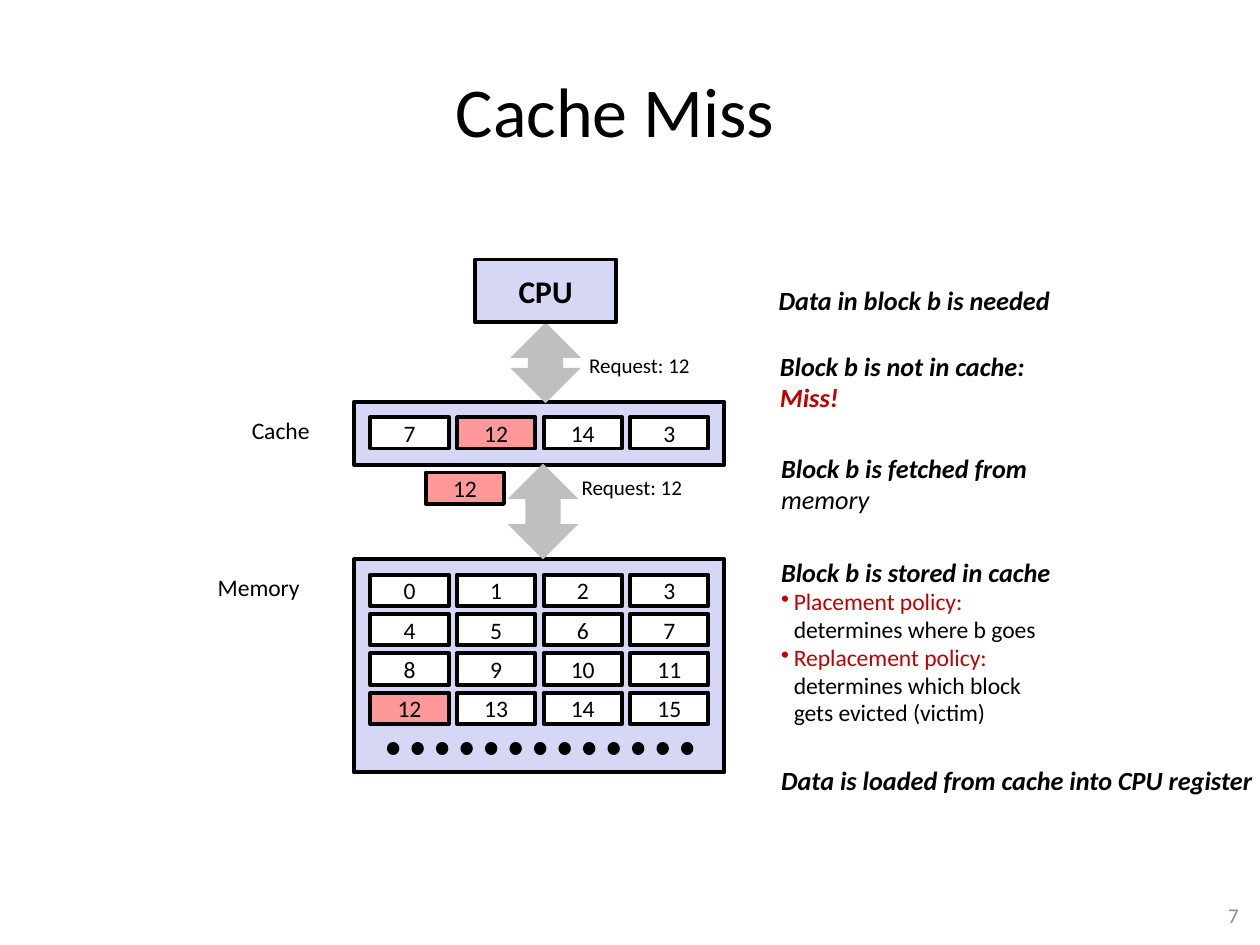
"""Build the Cache Miss slide: CPU, cache and memory blocks beside the steps of a miss."""
from lxml import etree
from pptx import Presentation
from pptx.dml.color import RGBColor
from pptx.enum import dml, shapes, text
from pptx.oxml import ns
from pptx.util import Inches, Pt

BLACK = RGBColor(0x00, 0x00, 0x00)
WHITE = RGBColor(0xFF, 0xFF, 0xFF)
LAVENDER = RGBColor(0xD6, 0xD6, 0xF5)
PINK = RGBColor(0xFF, 0x99, 0x99)
SILVER = RGBColor(0xBF, 0xBF, 0xBF)
GREY = RGBColor(0x8C, 0x8C, 0x8C)
RED = RGBColor(0xC0, 0x00, 0x00)

FONT = "Calibri"
TITLE = "Cache Miss"
REQUESTED = 12
COLUMNS = 4
CACHE_BLOCKS = [7, 12, 14, 3]
MEMORY_BLOCKS = list(range(16))
BLOCK_SIZE = (0.62, 0.25)
BLOCK_LEFT, COLUMN_STEP, ROW_STEP = 2.94, 0.6875, 0.3125
CACHE_TOP, MEMORY_TOP = 3.31, 4.56
TIGHT = (0.07, 0.04)
LOOSE = (0.1, 0.05)

PANELS = [(2.81, 4.44, 2.94, 1.69), (2.81, 3.19, 2.94, 0.5)]
ARROWS = [(4.03, 3.68, 0.56, 0.76), (4.05, 2.56, 0.56, 0.64)]
CPU_AREA = (3.77, 2.06, 1.12, 0.5)
LABELS = [
    ("Cache", (1.9, 3.25, 0.67, 0.33), 13.5, text.PP_ALIGN.LEFT),
    ("Memory", (1.63, 4.5, 0.86, 0.33), 13.5, text.PP_ALIGN.LEFT),
    ("Request: 12", (4.57, 2.75, 1.01, 0.3), 12, text.PP_ALIGN.CENTER),
    ("Request: 12", (4.51, 3.72, 1.01, 0.3), 12, text.PP_ALIGN.CENTER),
]

STEP = dict(size=15, bold=True, italic=True)
MISS = dict(STEP, color=RED)
PLAIN = dict(size=15, italic=True)
POLICY = dict(size=13.5, color=RED)
DETAIL = dict(size=13.5)
NOTES = [
    ((6.11, 2.23, 2.32, 0.32), [[("Data in block b is needed", STEP)]]),
    ((6.12, 2.75, 2.1, 0.57), [[("Block b is not in cache:", STEP)], [("Miss!", MISS)]]),
    ((6.13, 3.56, 2.12, 0.57), [[("Block b is fetched from", STEP)], [("memory", PLAIN)]]),
    ((6.13, 4.38, 2.3, 1.44), [
        [("Block b is stored in cache", STEP)],
        [("Placement policy:", POLICY), ("determines where b goes", DETAIL)],
        [("Replacement policy:", POLICY), ("determines which block", DETAIL),
         ("gets evicted (victim)", DETAIL)],
    ]),
    ((6.13, 6.04, 3.96, 0.32), [[("Data is loaded from cache into CPU register", STEP)]]),
]


def add_span(para, words, size, color=BLACK, bold=False, italic=False):
    span = para.add_run()
    span.text = words
    font = span.font
    font.name, font.size, font.bold, font.italic = FONT, Pt(size), bold, italic
    font.color.rgb = color


def set_frame(frame, margins, anchor, wrap):
    frame.margin_left = frame.margin_right = Inches(margins[0])
    frame.margin_top = frame.margin_bottom = Inches(margins[1])
    frame.vertical_anchor = anchor
    frame.word_wrap = wrap


def add_figure(slide, kind, area, fill, outlined=True):
    figure = slide.shapes.add_shape(kind, *map(Inches, area))
    figure.shadow.inherit = False
    figure.fill.solid()
    figure.fill.fore_color.rgb = fill
    if outlined:
        figure.line.color.rgb = BLACK
        figure.line.width = Pt(2.25)
    else:
        figure.line.fill.background()
    return figure


def add_box(slide, area, fill, words="", size=13.5, bold=False):
    box = add_figure(slide, shapes.MSO_SHAPE.RECTANGLE, area, fill)
    if words:
        set_frame(box.text_frame, TIGHT, text.MSO_ANCHOR.MIDDLE, True)
        para = box.text_frame.paragraphs[0]
        para.alignment = text.PP_ALIGN.CENTER
        add_span(para, words, size, bold=bold)


def add_blocks(slide, numbers, top):
    for index, number in enumerate(numbers):
        row, column = divmod(index, COLUMNS)
        place = (BLOCK_LEFT + column * COLUMN_STEP, top + row * ROW_STEP)
        add_box(slide, place + BLOCK_SIZE, PINK if number == REQUESTED else WHITE, str(number))


def add_text(slide, area, margins, anchor, wrap=False):
    box = slide.shapes.add_textbox(*map(Inches, area))
    set_frame(box.text_frame, margins, anchor, wrap)
    if not wrap:
        box.text_frame.auto_size = text.MSO_AUTO_SIZE.SHAPE_TO_FIT_TEXT
    return box.text_frame


def add_label(slide, words, area, size, alignment):
    para = add_text(slide, area, LOOSE, text.MSO_ANCHOR.TOP).paragraphs[0]
    para.alignment = alignment
    add_span(para, words, size)


def add_bullet(para):
    properties = para._p.get_or_add_pPr()
    properties.set("marL", str(Inches(0.1)))
    properties.set("indent", str(Inches(-0.1)))
    etree.SubElement(properties, ns.qn("a:buChar")).set("char", "•")


def add_note(slide, area, paragraphs):
    frame = add_text(slide, area, TIGHT, text.MSO_ANCHOR.MIDDLE)
    for index, lines in enumerate(paragraphs):
        para = frame.add_paragraph() if index else frame.paragraphs[0]
        if lines[0][1] is POLICY:
            add_bullet(para)
        para.line_spacing = 0.98
        for number, (words, style) in enumerate(lines):
            if number:
                para.add_line_break()
            add_span(para, words, **style)


def add_dots(slide):
    dots = slide.shapes.add_connector(
        shapes.MSO_CONNECTOR.STRAIGHT, *map(Inches, (3.12, 5.94, 5.62, 5.94)))
    dots.line.color.rgb = BLACK
    dots.line.width = Pt(7)
    dots.line.dash_style = dml.MSO_LINE.ROUND_DOT
    dots.line._get_or_add_ln().set("cap", "rnd")
    etree.SubElement(dots._element.spPr, ns.qn("a:effectLst"))


def add_title(slide):
    title = slide.shapes.title
    title.left, title.top, title.width, title.height = map(Inches, (0.89, 0.3, 7.98, 1.14))
    set_frame(title.text_frame, TIGHT, text.MSO_ANCHOR.MIDDLE, True)
    para = title.text_frame.paragraphs[0]
    para.alignment = text.PP_ALIGN.CENTER
    add_span(para, TITLE, 40)


def main():
    deck = Presentation()
    deck.slide_width, deck.slide_height = Inches(10), Inches(7.5)
    slide = deck.slides.add_slide(deck.slide_layouts[5])
    add_title(slide)

    for area in PANELS:
        add_box(slide, area, LAVENDER)
    add_blocks(slide, MEMORY_BLOCKS, MEMORY_TOP)
    add_dots(slide)
    add_blocks(slide, CACHE_BLOCKS, CACHE_TOP)
    add_box(slide, (3.38, 3.75) + BLOCK_SIZE, PINK, str(REQUESTED))
    for label in LABELS:
        add_label(slide, *label)
    for area, paragraphs in NOTES:
        add_note(slide, area, paragraphs)
    for area in ARROWS:
        add_figure(slide, shapes.MSO_SHAPE.UP_DOWN_ARROW, area, SILVER, outlined=False)
    add_box(slide, CPU_AREA, LAVENDER, "CPU", 18, True)

    number = add_text(slide, (7.6, 7.06, 2.33, 0.4), LOOSE, text.MSO_ANCHOR.MIDDLE, True)
    number.paragraphs[0].alignment = text.PP_ALIGN.RIGHT
    add_span(number.paragraphs[0], "7", 12, GREY)
    deck.save("out.pptx")


if __name__ == "__main__":
    main()
